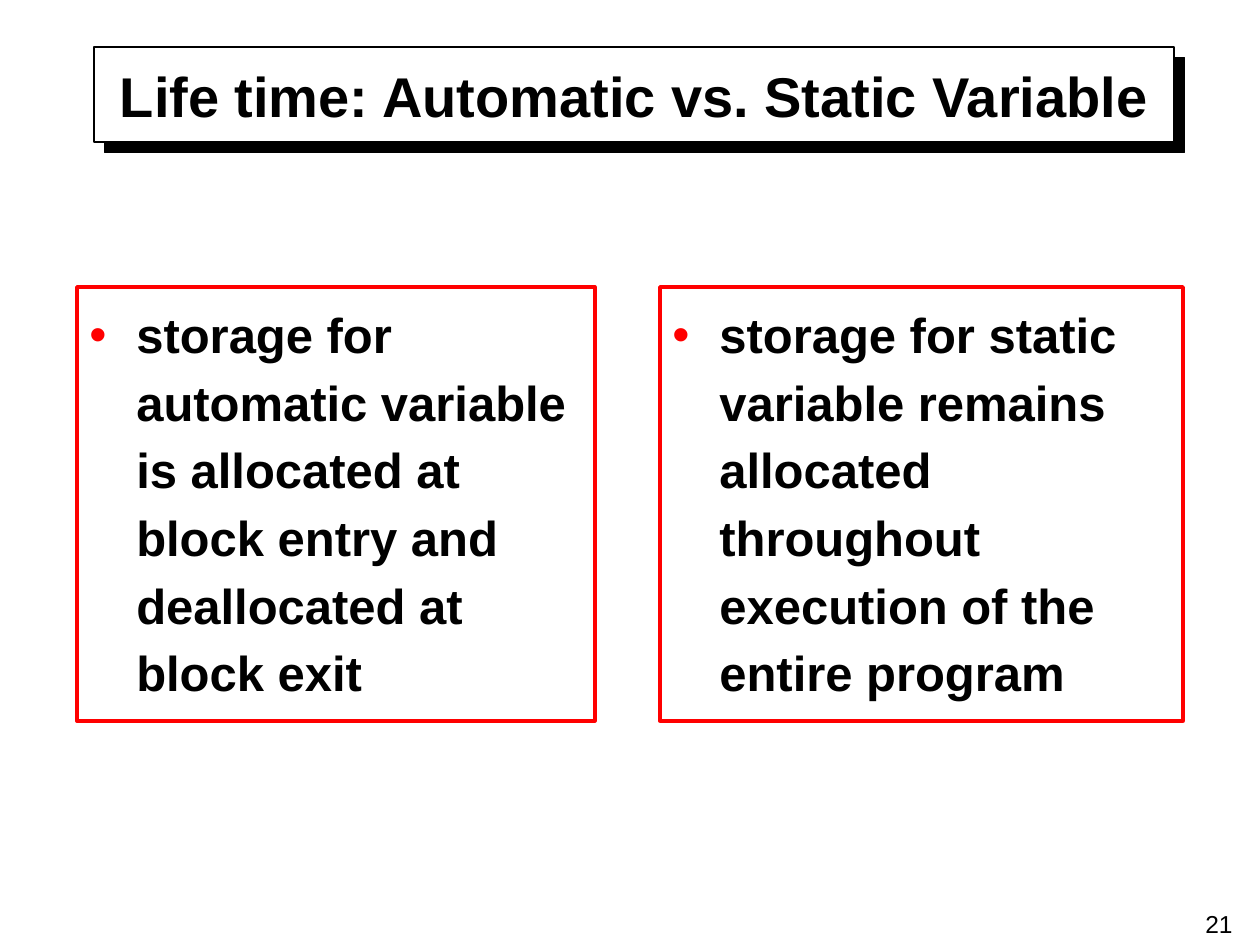
from lxml import etree
from pptx import Presentation
from pptx.dml.color import RGBColor
from pptx.enum.shapes import MSO_SHAPE
from pptx.enum.text import MSO_ANCHOR, MSO_AUTO_SIZE, PP_ALIGN
from pptx.oxml import parse_xml
from pptx.oxml.ns import qn
from pptx.util import Pt

RECTANGLE = MSO_SHAPE.RECTANGLE
TOP, BOTTOM = MSO_ANCHOR.TOP, MSO_ANCHOR.BOTTOM
LEFT, CENTER, RIGHT = PP_ALIGN.LEFT, PP_ALIGN.CENTER, PP_ALIGN.RIGHT
PX = 914400 // 126
BLACK, WHITE, RED = "000000", "FFFFFF", "FF0000"
DRAWING_NS = "http://schemas.openxmlformats.org/drawingml/2006/main"


def color(value):
    return RGBColor.from_string(value)


def write(shape, text, size, bold, align, anchor):
    frame = shape.text_frame
    frame.text = text
    frame.word_wrap = True
    frame.auto_size = MSO_AUTO_SIZE.NONE
    frame.vertical_anchor = anchor
    paragraph = frame.paragraphs[0]
    paragraph.alignment = align
    font = paragraph.runs[0].font
    font.name, font.size, font.bold = "Arial", Pt(size), bold
    font.color.rgb = color(BLACK)
    return paragraph


prs = Presentation()
prs.slide_width, prs.slide_height = 1260 * PX, 945 * PX
slide = prs.slides.add_slide(prs.slide_layouts[5])
shapes = slide.shapes

# Title
title = shapes.title
title.left, title.top, title.width, title.height = 94 * PX, 45 * PX, 1081 * PX, 90 * PX
write(title, "Life time: Automatic vs. Static Variable", 32, True, CENTER, BOTTOM)

# Title frame with a hard shadow, placed behind the title
title_frame = shapes.add_shape(RECTANGLE, 94 * PX, 47 * PX, 1080 * PX, 95 * PX)
title_frame.fill.solid()
title_frame.fill.fore_color.rgb = color(WHITE)
title_frame.line.color.rgb = color(BLACK)
title_frame.line.width = Pt(0.75)
title_frame._element.spPr.append(parse_xml(
    f'<a:effectLst xmlns:a="{DRAWING_NS}">'
    f'<a:outerShdw blurRad="0" dist="{Pt(8.5)}" dir="2700000" algn="ctr" rotWithShape="0">'
    f'<a:srgbClr val="{BLACK}"/></a:outerShdw></a:effectLst>'))
title._element.addprevious(title_frame._element)

# Storage boxes: automatic on the left, static on the right
storage_notes = [
    (77, 518, "storage for automatic variable is allocated at block entry "
              "and deallocated at block exit"),
    (660, 523, "storage for static variable remains allocated throughout "
               "execution of the entire program"),
]
for left, width, note in storage_notes:
    storage = shapes.add_shape(RECTANGLE, left * PX, 287 * PX, width * PX, 434 * PX)
    storage.shadow.inherit = False
    storage.fill.background()
    storage.line.color.rgb = color(RED)
    storage.line.width = Pt(2)
    paragraph = write(storage, note, 28, True, LEFT, TOP)
    storage.text_frame.margin_top = 9 * PX
    properties = paragraph._p.get_or_add_pPr()
    properties.set("marL", str(47 * PX))
    properties.set("indent", str(-47 * PX))
    bullet_color = etree.SubElement(properties, qn("a:buClr"))
    etree.SubElement(bullet_color, qn("a:srgbClr"), val=RED)
    etree.SubElement(properties, qn("a:buFont"), typeface="Arial")
    etree.SubElement(properties, qn("a:buChar"), char="•")
    paragraph.line_spacing = 1.15

# Slide number
slide_number = shapes.add_textbox(951 * PX, 903 * PX, 294 * PX, 42 * PX)
write(slide_number, "21", 14, False, RIGHT, TOP)

prs.save("out.pptx")
